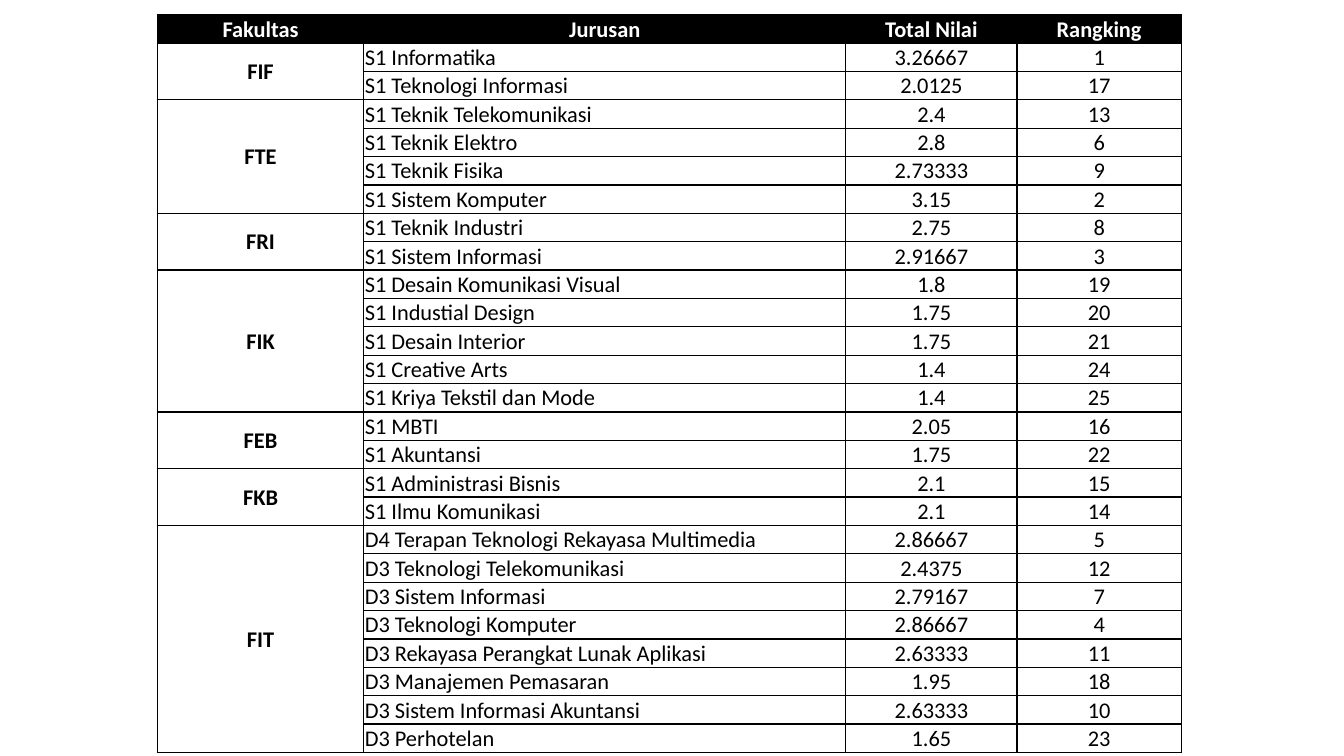
from lxml import etree
from pptx import Presentation
from pptx.dml.color import RGBColor
from pptx.enum import text as t
from pptx.oxml import ns
from pptx.util import Pt

INK = {"black": "000000", "white": "FFFFFF"}
HEADS = ["Fakultas", "Jurusan", "Total Nilai", "Rangking"]
WIDTHS = [147.6, 344.2, 122.4, 117.3]
GROUPS = {
    "FIF": [("S1 Informatika", "3.26667", 1),
            ("S1 Teknologi Informasi", "2.0125", 17)],
    "FTE": [("S1 Teknik Telekomunikasi", "2.4", 13),
            ("S1 Teknik Elektro", "2.8", 6),
            ("S1 Teknik Fisika", "2.73333", 9),
            ("S1 Sistem Komputer", "3.15", 2)],
    "FRI": [("S1 Teknik Industri", "2.75", 8),
            ("S1 Sistem Informasi", "2.91667", 3)],
    "FIK": [("S1 Desain Komunikasi Visual", "1.8", 19),
            ("S1 Industial Design", "1.75", 20),
            ("S1 Desain Interior", "1.75", 21),
            ("S1 Creative Arts", "1.4", 24),
            ("S1 Kriya Tekstil dan Mode", "1.4", 25)],
    "FEB": [("S1 MBTI", "2.05", 16),
            ("S1 Akuntansi", "1.75", 22)],
    "FKB": [("S1 Administrasi Bisnis", "2.1", 15),
            ("S1 Ilmu Komunikasi", "2.1", 14)],
    "FIT": [("D4 Terapan Teknologi Rekayasa Multimedia", "2.86667", 5),
            ("D3 Teknologi Telekomunikasi", "2.4375", 12),
            ("D3 Sistem Informasi", "2.79167", 7),
            ("D3 Teknologi Komputer", "2.86667", 4),
            ("D3 Rekayasa Perangkat Lunak Aplikasi", "2.63333", 11),
            ("D3 Manajemen Pemasaran", "1.95", 18),
            ("D3 Sistem Informasi Akuntansi", "2.63333", 10),
            ("D3 Perhotelan", "1.65", 23)],
}
MID, LOW = t.MSO_ANCHOR.MIDDLE, t.MSO_ANCHOR.BOTTOM
LEFT, MIDST = t.PP_ALIGN.LEFT, t.PP_ALIGN.CENTER
INSETS = {"margin_left": Pt(0.7), "margin_right": Pt(0.7),
          "margin_top": Pt(0.7), "margin_bottom": Pt(0)}


def apply(item, values):
    for name, value in values.items():
        setattr(item, name, value)


def edge(cell):
    """Draw a thin black border on all four sides."""
    props = cell._tc.get_or_add_tcPr()
    for side in ("a:lnL", "a:lnR", "a:lnT", "a:lnB"):
        line = etree.SubElement(props, ns.qn(side), w=str(Pt(1)))
        fill = etree.SubElement(line, ns.qn("a:solidFill"))
        etree.SubElement(fill, ns.qn("a:srgbClr"), val=INK["black"])


def write(cell, words, bold=False, color="black", align=MIDST, anchor=LOW):
    apply(cell, {**INSETS, "vertical_anchor": anchor})
    para = cell.text_frame.paragraphs[0]
    para.alignment = align
    run = para.add_run()
    run.text = str(words)
    apply(run.font, {"name": "Calibri", "size": Pt(16), "bold": bold})
    run.font.color.rgb = RGBColor.from_string(INK[color])


def head(table):
    for col, words in enumerate(HEADS):
        cell = table.cell(0, col)
        write(cell, words, bold=True, color="white", anchor=MID)
        cell.text_frame.paragraphs[0].space_after = Pt(6)
        cell.fill.solid()
        cell.fill.fore_color.rgb = RGBColor.from_string(INK["black"])


def group(table, top, name, majors):
    """Fill one faculty's rows, starting at row top."""
    first = table.cell(top, 0)
    first.merge(table.cell(top + len(majors) - 1, 0))
    write(first, name, bold=True, anchor=MID)
    for row, (major, score, rank) in enumerate(majors, top):
        write(table.cell(row, 1), major, align=LEFT)
        write(table.cell(row, 2), score)
        write(table.cell(row, 3), rank)


def ranking(slide, left, top, width, height):
    count = 1 + sum(map(len, GROUPS.values()))
    table = slide.shapes.add_table(count, len(HEADS), Pt(left), Pt(top),
                                   Pt(width), Pt(height)).table
    apply(table, {"first_row": False, "horz_banding": False})
    for col, share in zip(table.columns, WIDTHS):
        col.width = Pt(width * share / sum(WIDTHS))
    for row in table.rows:
        row.height = Pt(height / count)
    for cell in table.iter_cells():
        edge(cell)
        cell.fill.background()
    head(table)
    top_row = 1
    for name, majors in GROUPS.items():
        group(table, top_row, name, majors)
        top_row += len(majors)


def main():
    deck = Presentation()
    apply(deck, {"slide_width": Pt(960), "slide_height": Pt(540)})
    slide = deck.slides.add_slide(deck.slide_layouts[6])
    ranking(slide, 112.3, 10.5, 731.5, 519)
    deck.save("out.pptx")


if __name__ == "__main__":
    main()
